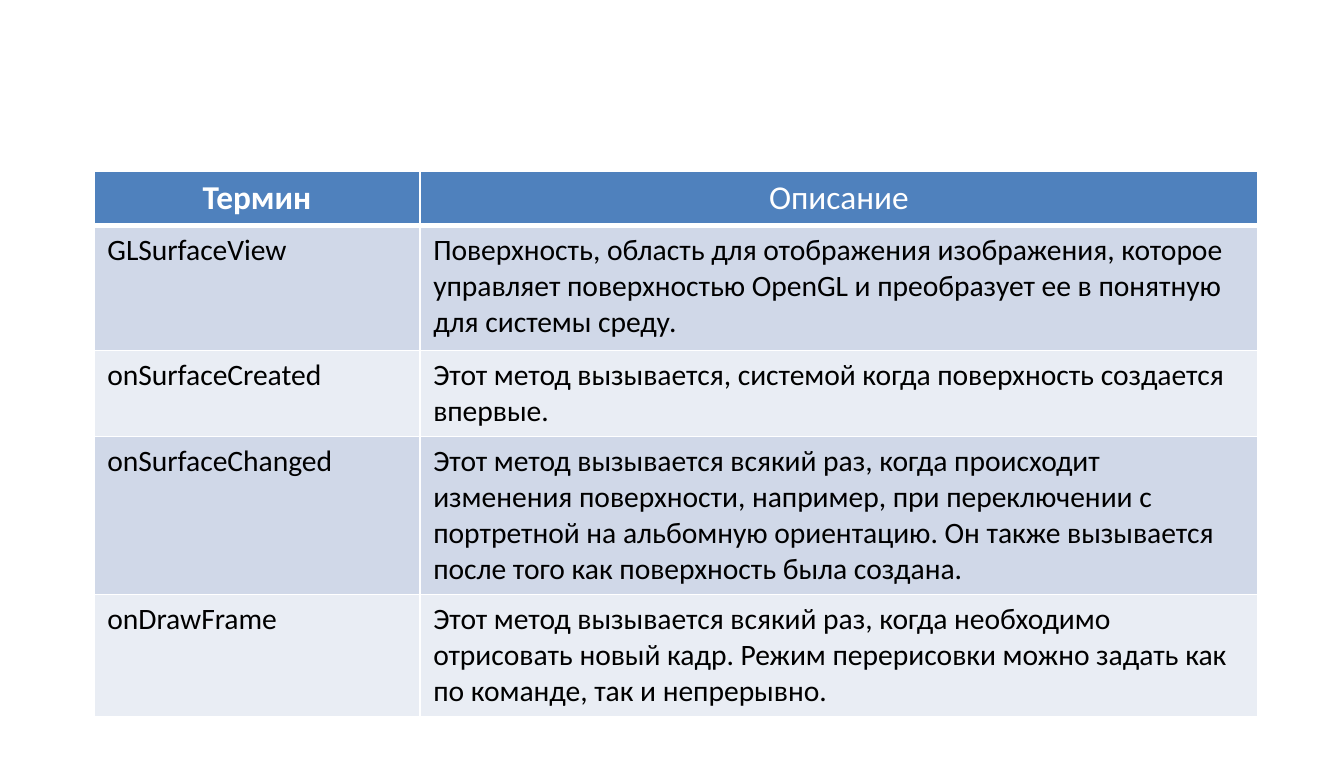
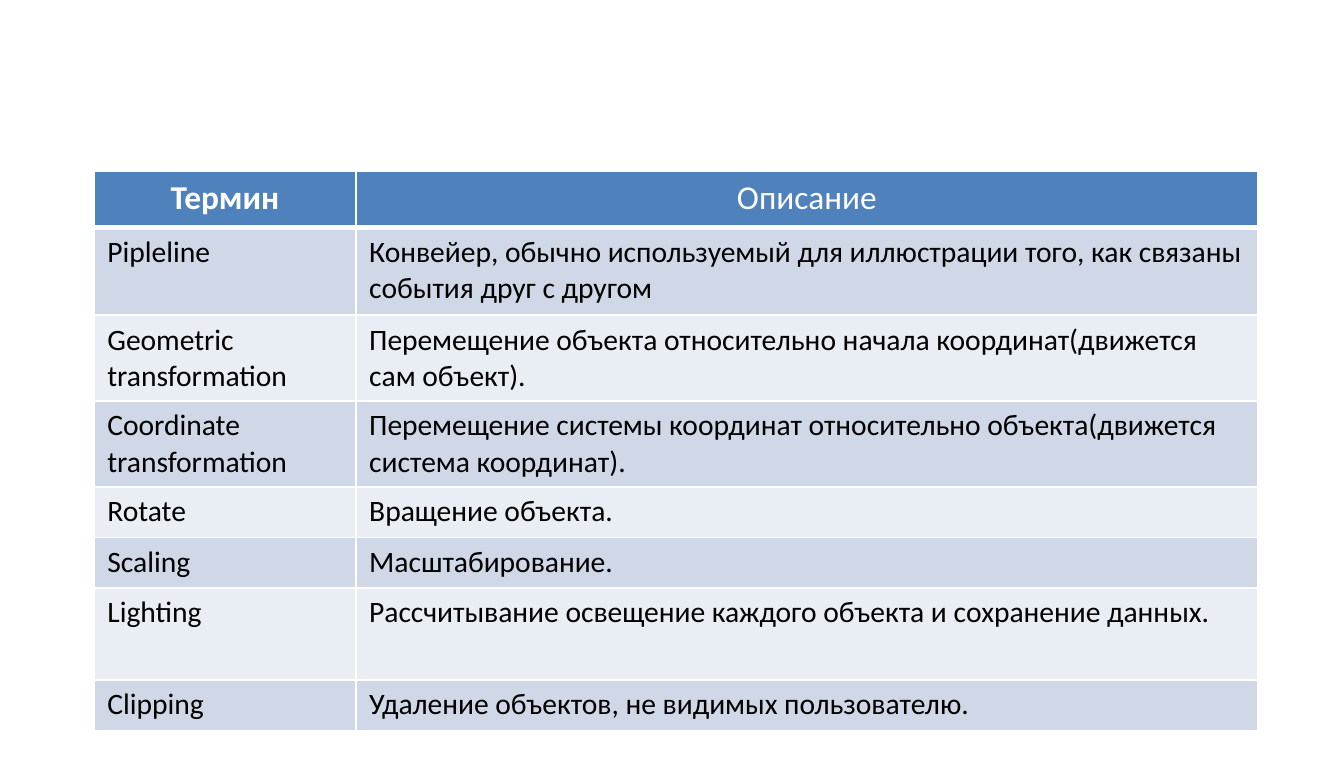
from lxml.etree import SubElement
from pptx import Presentation
from pptx.dml.color import RGBColor as RGB
from pptx.enum.text import PP_ALIGN as AL
from pptx.oxml.ns import qn
from pptx.util import Inches, Pt

# Shared look
W, H = Inches(10.09), Inches(5.72)
LEFT, TOP, WIDTH = int(W * 0.07), int(H * 0.225), int(W * 0.866)
FONT = "Calibri"
C = {"head": "4F81BD", "odd": "D0D8E8", "even": "E9EDF4",
     "line": "FFFFFF", "head_text": "FFFFFF", "text": "000000"}
HEADER = ("Термин", "Описание")

# Each table: share of the term column, row heights in inches, body rows
TABLES = [
    (0.28, [0.39, 0.94, 0.63, 1.17, 0.9], [
        ("GLSurfaceView",
         "Поверхность, область для отображения изображения, которое управляет "
         "поверхностью OpenGL и преобразует ее в понятную для системы среду."),
        ("onSurfaceCreated",
         "Этот метод вызывается, системой когда поверхность создается впервые."),
        ("onSurfaceChanged",
         "Этот метод вызывается всякий раз, когда происходит изменения "
         "поверхности, например, при переключении с портретной на альбомную "
         "ориентацию. Он также вызывается после того как поверхность была "
         "создана."),
        ("onDrawFrame",
         "Этот метод вызывается всякий раз, когда необходимо отрисовать новый "
         "кадр. Режим перерисовки можно задать как по команде, так и "
         "непрерывно."),
    ]),
    (0.225, [0.42, 0.66, 0.63, 0.63, 0.38, 0.38, 0.69, 0.38], [
        ("Pipleline",
         "Конвейер, обычно используемый для иллюстрации того, как связаны "
         "события друг с другом"),
        ("Geometric transformation",
         "Перемещение объекта относительно начала координат(движется сам "
         "объект)."),
        ("Coordinate\ntransformation",
         "Перемещение системы координат относительно объекта(движется система "
         "координат)."),
        ("Rotate", "Вращение объекта."),
        ("Scaling", "Масштабирование."),
        ("Lighting",
         "Рассчитывание освещение каждого объекта и сохранение данных."),
        ("Clipping", "Удаление объектов, не видимых пользователю."),
    ]),
]


def write(tf, text, size=16, color="text", bold=False, align=AL.LEFT):
    tf.text = text
    for p in tf.paragraphs:
        p.alignment = align
        for r in p.runs:
            r.font.name, r.font.size, r.font.bold = FONT, Pt(size), bold
            r.font.color.rgb = RGB.from_string(C[color])


def set_borders(cell, top=1, bottom=1):
    tcPr = cell._tc.get_or_add_tcPr()
    for side, width in (("L", 1), ("R", 1), ("T", top), ("B", bottom)):
        ln = SubElement(tcPr, qn(f"a:ln{side}"), w=str(Pt(width)))
        fill = SubElement(ln, qn("a:solidFill"))
        SubElement(fill, qn("a:srgbClr"), val=C["line"])


prs = Presentation()
prs.slide_width, prs.slide_height = W, H

for share, heights, body in TABLES:
    s = prs.slides.add_slide(prs.slide_layouts[6])
    rows = [HEADER, *body]
    tbl = s.shapes.add_table(len(rows), 2, LEFT, TOP, WIDTH,
                             Inches(sum(heights))).table

    # Grid
    tbl.columns[0].width = int(WIDTH * share)
    tbl.columns[1].width = WIDTH - int(WIDTH * share)
    for row, height in zip(tbl.rows, heights):
        row.height = Inches(height)

    # Cells: the header has a thick lower edge, body rows alternate
    for i, texts in enumerate(rows):
        for j, text in enumerate(texts):
            cell = tbl.cell(i, j)
            set_borders(cell, top=3 if i == 1 else 1, bottom=3 if i == 0 else 1)
            cell.fill.solid()
            band = "head" if i == 0 else "odd" if i % 2 else "even"
            cell.fill.fore_color.rgb = RGB.from_string(C[band])
            if i == 0:
                write(cell.text_frame, text, size=18, color="head_text",
                      bold=j == 0, align=AL.CENTER)
            else:
                write(cell.text_frame, text)

prs.save("out.pptx")
